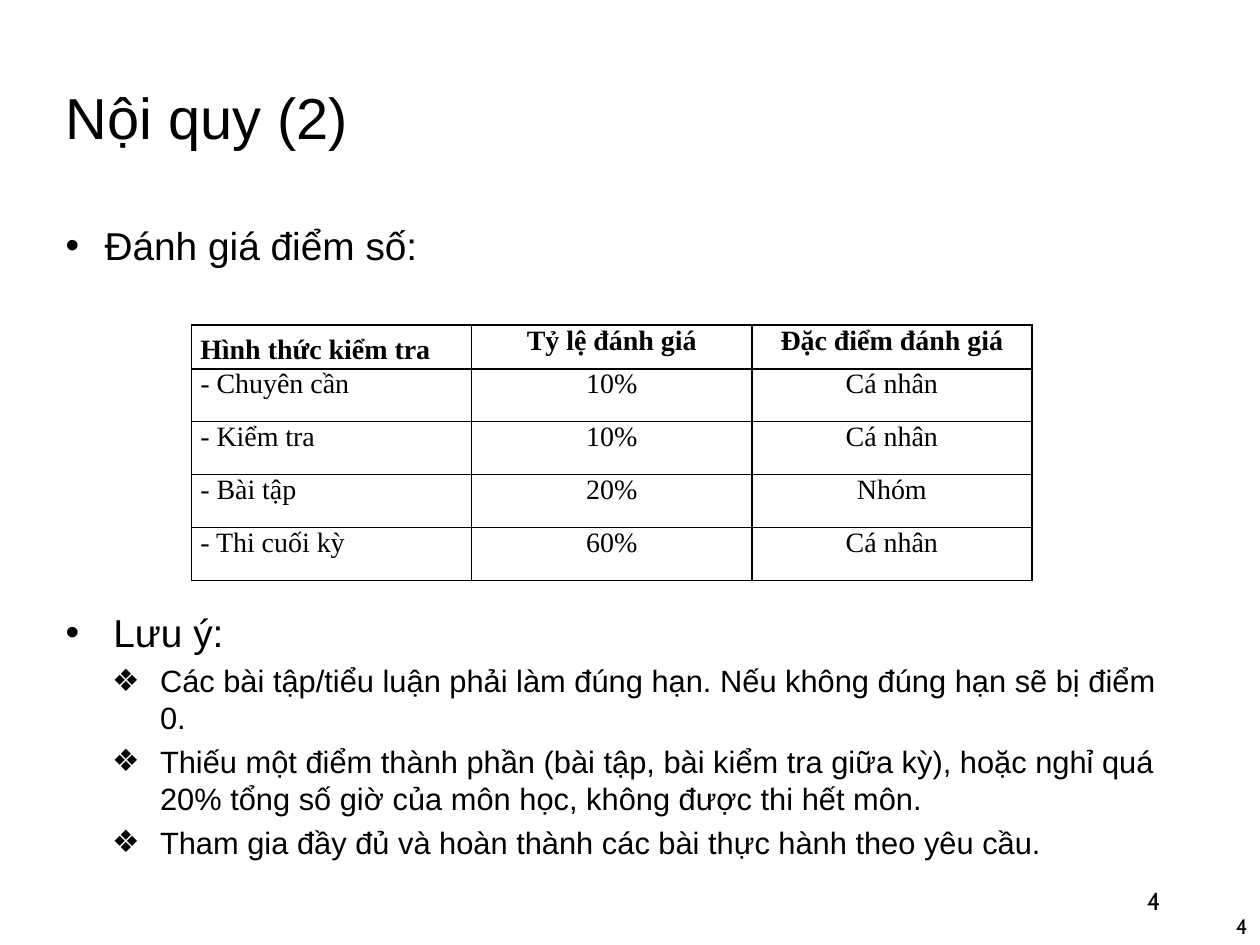
from lxml.etree import SubElement
from pptx import Presentation
from pptx.dml.color import RGBColor
from pptx.enum.text import MSO_ANCHOR, MSO_AUTO_SIZE, PP_ALIGN
from pptx.oxml.ns import qn
from pptx.util import Inches, Pt

COLORS = {"text": "000000", "border": "000000"}


def write(p, text, size, font="Arial", bold=False, align=PP_ALIGN.LEFT,
          spacing=1.0, before=0, bullet=None, left=0, hang=0, tab=None):
    """Fill one paragraph; left and hang are its indent in inches."""
    pPr = p._p.get_or_add_pPr()
    if bullet:
        pPr.set("marL", str(Inches(left)))
        pPr.set("indent", str(-Inches(hang)))
        SubElement(pPr, qn("a:buFont")).set("typeface", "Arial")
        SubElement(pPr, qn("a:buChar")).set("char", bullet)
    if tab:
        tabs = SubElement(pPr, qn("a:tabLst"))
        SubElement(tabs, qn("a:tab"), pos=str(Inches(tab)), algn="l")
    p.alignment = align
    p.line_spacing = spacing
    p.space_before = Pt(before)
    r = p.add_run()
    r.text = text
    r.font.name = font
    r.font.size = Pt(size)
    r.font.bold = bold
    r.font.color.rgb = RGBColor.from_string(COLORS["text"])


def add_borders(cell):
    tcPr = cell._tc.get_or_add_tcPr()
    for side in ("a:lnL", "a:lnR", "a:lnT", "a:lnB"):
        ln = SubElement(tcPr, qn(side), w=str(Pt(1)))
        fill = SubElement(ln, qn("a:solidFill"))
        SubElement(fill, qn("a:srgbClr"), val=COLORS["border"])


prs = Presentation()
prs.slide_width, prs.slide_height = Inches(10), Inches(7.5)
s = prs.slides.add_slide(prs.slide_layouts[1])

# Title
title = s.shapes.title
title.left, title.top = Inches(0.42), Inches(0.15)
title.width, title.height = Inches(7.5), Inches(1.11)
tf = title.text_frame
tf.auto_size = MSO_AUTO_SIZE.NONE
tf.vertical_anchor = MSO_ANCHOR.BOTTOM
write(tf.paragraphs[0], "Nội quy (2)", 33, spacing=0.9)

# Body list, with room for the table before the notes
body = s.placeholders[1]
body.left, body.top = Inches(0.42), Inches(1.75)
body.width, body.height = Inches(8.9), Inches(5.6)
tf = body.text_frame
tf.auto_size = MSO_AUTO_SIZE.NONE
write(tf.paragraphs[0], "Đánh giá điểm số:", 22.2, spacing=0.9,
      bullet="•", left=0.31, hang=0.31)
write(tf.add_paragraph(), "Lưu ý:", 22.2, spacing=0.9, before=197,
      bullet="•", left=0.38, hang=0.38)
notes = [
    "Các bài tập/tiểu luận phải làm đúng hạn. Nếu không đúng hạn sẽ bị điểm 0.",
    "Thiếu một điểm thành phần (bài tập, bài kiểm tra giữa kỳ), hoặc nghỉ quá "
    "20% tổng số giờ của môn học, không được thi hết môn.",
    "Tham gia đầy đủ và hoàn thành các bài thực hành theo yêu cầu.",
]
for note in notes:
    p = tf.add_paragraph()
    p.level = 1
    write(p, note, 17.6, before=3.8, bullet="❖", left=0.75, hang=0.38, tab=0.5)

# Page numbers
for left, top, width, height, size, anchor in [
    (7.06, 6.95, 2.25, 0.4, 14, MSO_ANCHOR.MIDDLE),
    (7.92, 7, 2.08, 0.5, 12, MSO_ANCHOR.BOTTOM),
]:
    sp = s.shapes.add_textbox(Inches(left), Inches(top), Inches(width), Inches(height))
    tf = sp.text_frame
    tf.word_wrap = True
    tf.vertical_anchor = anchor
    write(tf.paragraphs[0], "4", size, font="Cabin", align=PP_ALIGN.RIGHT)

# Grading table
rows = [
    ("Hình thức kiểm tra", "Tỷ lệ đánh giá", "Đặc điểm đánh giá"),
    ("- Chuyên cần", "10%", "Cá nhân"),
    ("- Kiểm tra", "10%", "Cá nhân"),
    ("- Bài tập", "20%", "Nhóm"),
    ("- Thi cuối kỳ", "60%", "Cá nhân"),
]
table = s.shapes.add_table(len(rows), 3, Inches(1.52), Inches(2.58),
                           Inches(6.67), Inches(2.03)).table
table.first_row = table.horz_banding = False
for i, row in enumerate(rows):
    table.rows[i].height = Inches(0.42 if i else 0.34)
    for j, text in enumerate(row):
        cell = table.cell(i, j)
        cell.margin_left = cell.margin_right = Inches(0.07)
        cell.margin_top = cell.margin_bottom = 0
        add_borders(cell)
        cell.fill.background()
        write(cell.text_frame.paragraphs[0], text, 16, font="Times New Roman",
              bold=i == 0, align=PP_ALIGN.CENTER if j else PP_ALIGN.JUSTIFY,
              spacing=1.3 if i == j == 0 else 1.0)

prs.save("out.pptx")
